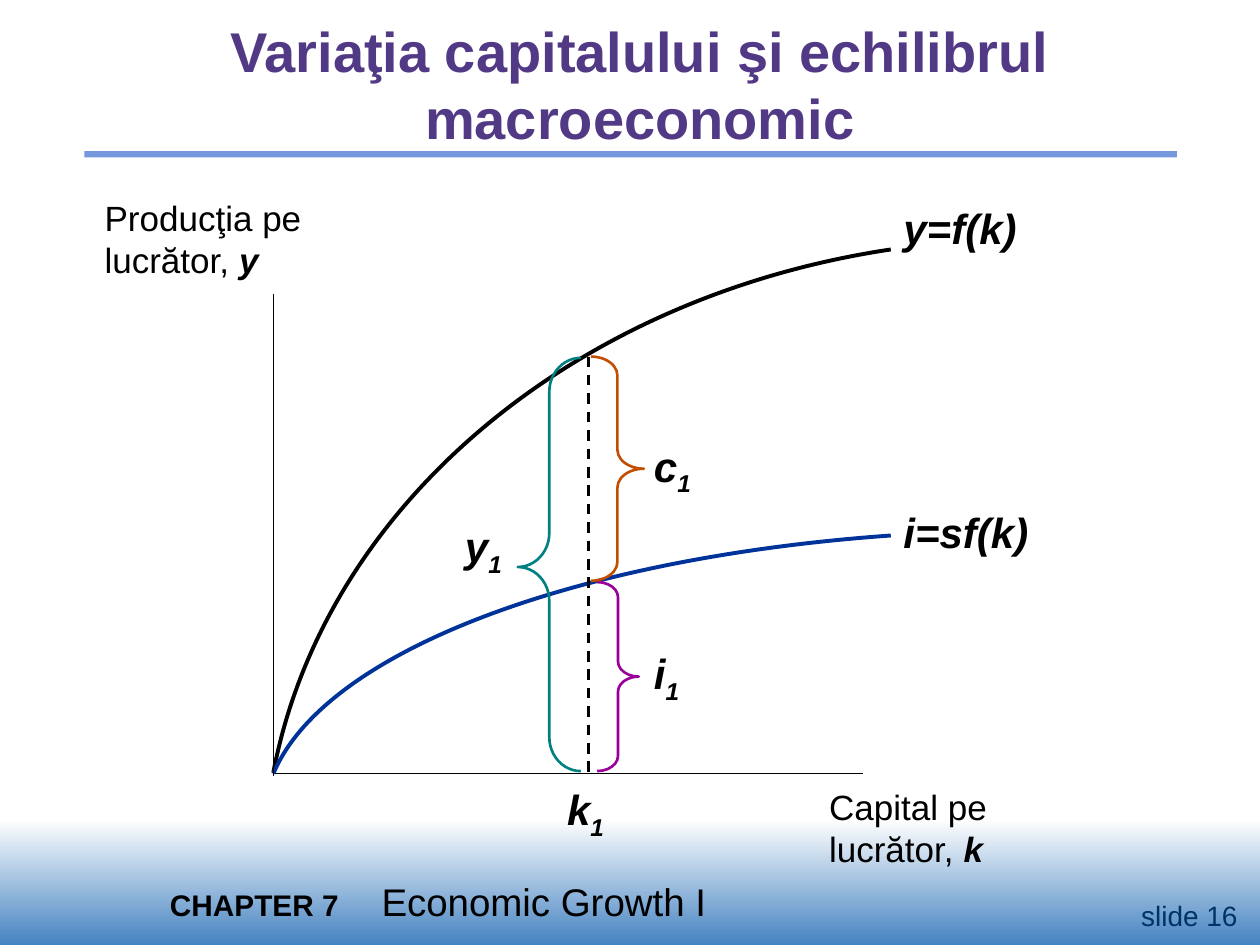
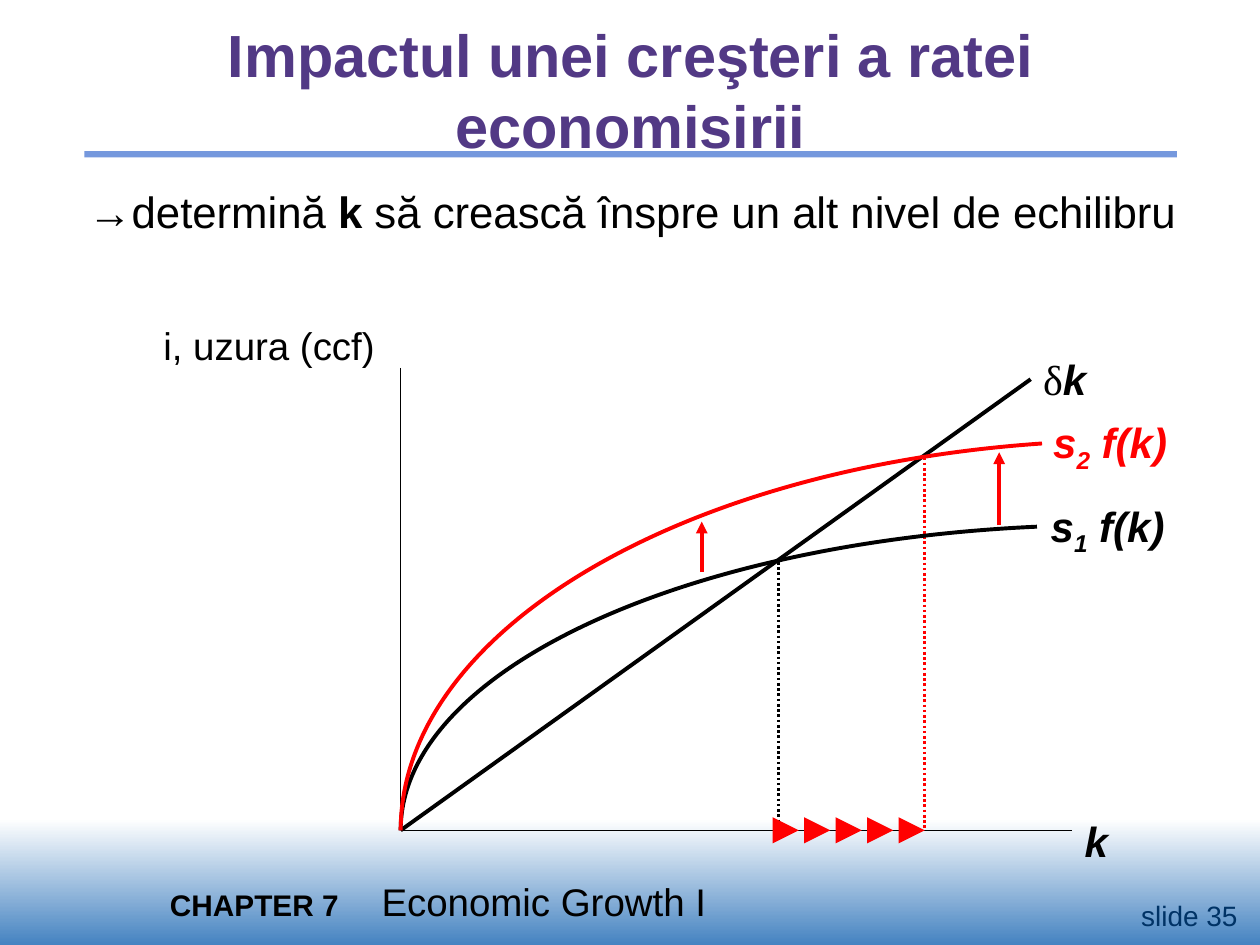
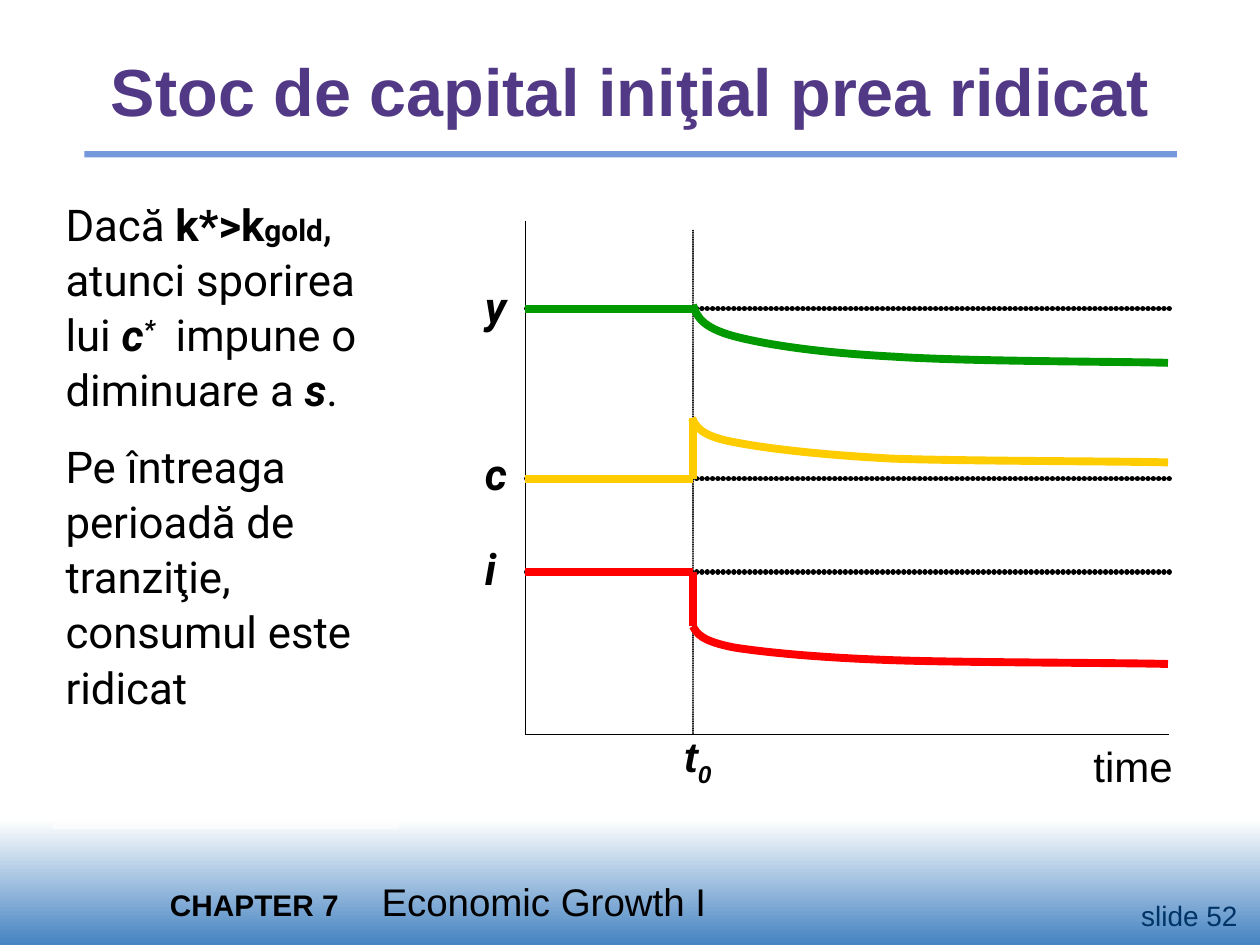
from lxml import etree
from pptx import Presentation
from pptx.dml.color import RGBColor
from pptx.enum import dml, shapes, text
from pptx.oxml.ns import qn
from pptx.util import Inches, Pt

COLORS = {
    "black": "000000", "white": "FFFFFF", "title": "523985", "rule": "7598DD",
    "band": "4583C1", "number": "003366", "blue": "003399", "teal": "008080",
    "purple": "990099", "orange": "C24F00", "red": "FF0000",
    "yellow": "FFCC00", "green": "009900",
}
DASH, DOT = dml.MSO_LINE.DASH, dml.MSO_LINE.ROUND_DOT
BEADS = "beads"  # round dots, one line width apart
LEFT, RIGHT = shapes.MSO_SHAPE.LEFT_BRACE, shapes.MSO_SHAPE.RIGHT_BRACE
TOP, MIDDLE = text.MSO_ANCHOR.TOP, text.MSO_ANCHOR.MIDDLE
FIXED, GROW = text.MSO_AUTO_SIZE.NONE, text.MSO_AUTO_SIZE.SHAPE_TO_FIT_TEXT
ALIGN = text.PP_ALIGN
PAD, NO_PAD = (0.1, 0.05, 0.1, 0.05), (0, 0, 0, 0)

# Run styles
PLAIN = {}
BOLD = {"bold": True}
VAR = {"bold": True, "italic": True}
SUB = {**VAR, "base": -25}
SUPER = {**VAR, "base": 30, "spacing": 5.7}
TIMES = {"font": "Times New Roman"}

TITLE_BOX = (0.42, 0.25, 9.17, 0.92)

# Slide 1: production and investment curves
PRODUCTION_LABELS = [
    ((0.83, 1.56, 1.75, 0.67), 20, [("Producţia pe lucrător, ", PLAIN), ("y", VAR)]),
    ((6.58, 6.23, 1.75, 0.67), 20, [("Capital pe lucrător, ", PLAIN), ("k", VAR)]),
    ((7.17, 1.61, 1.08, 0.4), 24, [("y=f(k)", VAR)]),
    ((7.17, 4.02, 1.08, 0.4), 24, [("i=sf(k)", VAR)]),
    ((4.5, 6.22, 0.58, 0.46), 24, [("k", VAR), ("1", SUB)]),
    ((3.69, 4.13, 0.58, 0.46), 24, [("y", VAR), ("1", SUB)]),
    ((5.19, 5.14, 0.58, 0.46), 24, [("i", VAR), ("1", SUB)]),
    ((5.19, 3.49, 0.58, 0.46), 24, [("c", VAR), ("1", SUB)]),
]
PRODUCTION_LINES = [
    (2.17, 2.33, 2.17, 6.16, "black", 1),
    (2.18, 6.14, 6.85, 6.14, "black", 1),
    (4.67, 2.83, 4.67, 6.17, "black", 1.5, DASH),
]
PRODUCTION_CURVES = [
    ([(7.07, 1.98), (4.53, 2.36), (2.57, 4.03), (2.17, 6.13)], "black", 2.25),
    ([(7.07, 4.25), (4.53, 4.43), (2.57, 5.18), (2.17, 6.14)], "blue", 2.25),
]
BRACES = [  # kind, box, corner height, height of the tip, colour
    (LEFT, (4.11, 2.84, 0.5, 3.28), 0.27, 1.66, "teal"),
    (RIGHT, (4.74, 4.62, 0.33, 1.5), 0.12, 0.75, "purple"),
    (RIGHT, (4.69, 2.83, 0.42, 1.78), 0.15, 0.89, "orange"),
]

# Slide 2: a higher saving rate
SAVING_LABELS = [
    ((8.51, 6.42, 0.5, 0.5), 24, "black", [("k", VAR)]),
    ((8.18, 2.76, 0.72, 0.5), 24, "black", [("δ", TIMES), ("k", VAR)]),
    ((8.24, 3.92, 1.18, 0.56), 24, "black", [("s", VAR), ("1", SUB), (" f(k)", VAR)]),
    ((8.26, 3.26, 1.42, 0.56), 24, "red", [("s", VAR), ("2", SUB), (" f(k)", VAR)]),
    ((0.6, 1.42, 9.29, 0.52), 25, "black", [
        ("→", TIMES), ("determină ", PLAIN), ("k", BOLD),
        (" să crească înspre un alt nivel de echilibru", PLAIN)]),
]
SAVING_LINES = [
    (3.18, 2.92, 3.18, 6.59, "black", 0.75),
    (3.18, 6.59, 8.51, 6.59, "black", 0.75),
    (3.18, 6.59, 8.18, 3.01, "black", 2.25),
    (6.18, 4.46, 6.18, 6.59, "black", 1.5, DOT),
    (7.34, 3.63, 7.34, 6.59, "red", 1.5, DOT),
    (7.93, 4.17, 7.93, 3.59, "red", 2.25, None, "med"),
    (5.57, 4.54, 5.57, 4.14, "red", 2.25, None, "med"),
]
SAVING_CURVES = [
    ([(8.23, 4.18), (5.36, 4.31), (3.18, 5.35), (3.18, 6.59)], "black", 2.25),
    ([(8.27, 3.52), (5.36, 3.72), (3.18, 5.03), (3.18, 6.59)], "red", 2.25),
]
GROWTH_ARROWS = {"count": 5, "left": 6.26, "step": 0.25, "length": 0.08, "y": 6.59}

# Slide 3: paths of output, consumption and investment over time
GOLD_TEXT = [
    [("Dacă ", PLAIN), ("k*>k", BOLD), ("gold", {**BOLD, "size": 17}),
     (", atunci sporirea lui ", PLAIN), ("c", VAR), ("*", SUPER),
     (" impune o diminuare a ", PLAIN), ("s", VAR), (".", PLAIN)],
    [("Pe întreaga perioadă de tranziţie, consumul este ridicat", PLAIN)],
]
TIME_AXES = [
    (4.17, 1.75, 4.17, 5.83, "black", 0.75),
    (4.17, 5.83, 9.28, 5.83, "black", 0.75),
    (5.5, 1.83, 5.5, 5.83, "black", 1, BEADS),
]
SERIES = [  # name, label top, level before t0, colour, path after t0
    ("y", 2.17, 2.45, "green",
     [(5.5, 2.42), (5.53, 2.51), (5.57, 2.6), (5.83, 2.67), (6.1, 2.74),
      (6.51, 2.8), (7.08, 2.83), (7.66, 2.87), (8.91, 2.87), (9.27, 2.88)]),
    ("c", 3.5, 3.8, "yellow",
     [(5.49, 3.32), (5.53, 3.39), (5.56, 3.46), (5.83, 3.51), (6.09, 3.56),
      (6.51, 3.61), (7.08, 3.64), (7.65, 3.66), (8.9, 3.66), (9.27, 3.67)]),
    ("i", 4.25, 4.54, "red",
     [(5.5, 4.97), (5.53, 5.03), (5.57, 5.09), (5.83, 5.14), (6.09, 5.18),
      (6.51, 5.22), (7.08, 5.24), (7.65, 5.26), (8.9, 5.26), (9.27, 5.27)]),
]


def rgb(name):
    return RGBColor.from_string(COLORS[name])


def inches(values):
    return [Inches(v) for v in values]


def place(sp, box):
    sp.left, sp.top, sp.width, sp.height = inches(box)


def add_runs(p, runs, size, color="black", font="Arial"):
    for words, style in runs:
        r = p.add_run()
        r.text = words
        f = r.font
        f.name = style.get("font", font)
        f.size = Pt(style.get("size", size))
        f.bold = style.get("bold", False)
        f.italic = style.get("italic", False)
        f.color.rgb = rgb(color)
        rPr = r._r.get_or_add_rPr()
        if "base" in style:
            rPr.set("baseline", str(style["base"] * 1000))
        if "spacing" in style:
            rPr.set("spc", str(round(style["spacing"] * 100)))


def set_frame(tf, pad, anchor=TOP, fit=FIXED):
    tf.word_wrap = True
    tf.auto_size = fit
    tf.vertical_anchor = anchor
    tf.margin_left, tf.margin_top, tf.margin_right, tf.margin_bottom = inches(pad)


def add_label(s, box, size, runs, color="black", font="Arial", pad=PAD,
              anchor=TOP, align=ALIGN.LEFT, before=None):
    """Add a text box; space before follows the text size unless given."""
    tf = s.shapes.add_textbox(*inches(box)).text_frame
    set_frame(tf, pad, anchor, GROW)
    p = tf.paragraphs[0]
    p.alignment = align
    p.space_before = Pt(round(size * 0.625, 1) if before is None else before)
    add_runs(p, runs, size, color, font)
    return p


def add_line(s, x1, y1, x2, y2, color, width, dash=None, head=None):
    c = s.shapes.add_connector(shapes.MSO_CONNECTOR.STRAIGHT, *inches((x1, y1, x2, y2)))
    c.line.color.rgb = rgb(color)
    c.line.width = Pt(width)
    ln = c.line._get_or_add_ln()
    if dash == BEADS:
        ln.set("cap", "rnd")
        beads = etree.SubElement(ln, qn("a:custDash"))
        etree.SubElement(beads, qn("a:ds"), d="1000", sp="100000")
    elif dash:
        c.line.dash_style = dash
    if head:
        etree.SubElement(ln, qn("a:tailEnd"), type="triangle", w=head, len=head)
    etree.SubElement(c.element.spPr, qn("a:effectLst"))


def outline(sp, color, width):
    sp.shadow.inherit = False
    sp.fill.background()
    sp.line.color.rgb = rgb(color)
    sp.line.width = Pt(width)


def add_curve(s, points, color, width):
    """Draw joined cubic curves; each takes two control points and an end."""
    builder = s.shapes.build_freeform(*inches(points[0]))
    builder.add_line_segments([inches(q) for q in points[1:]], close=False)
    sp = builder.convert_to_shape()
    segments = list(sp.element.iter(qn("a:lnTo")))
    outlined = segments[0].getparent()
    for i in range(0, len(segments), 3):
        cubic = etree.SubElement(outlined, qn("a:cubicBezTo"))
        for segment in segments[i:i + 3]:
            cubic.append(segment[0])
            outlined.remove(segment)
    outline(sp, color, width)


def add_brace(s, kind, box, corner, tip, color):
    sp = s.shapes.add_shape(kind, *inches(box))
    sp.adjustments[0] = corner / box[2]
    sp.adjustments[1] = tip / box[3]
    outline(sp, color, 1.5)


def add_bar(s, box):
    sp = s.shapes.add_shape(shapes.MSO_SHAPE.RECTANGLE, *inches(box))
    sp.shadow.inherit = False
    sp.line.fill.background()
    return sp


def new_slide(prs, layout, title, size, number, title_box=TITLE_BOX):
    s = prs.slides.add_slide(prs.slide_layouts[layout])
    band = add_bar(s, (0, 6.5, 10, 1))
    band.fill.gradient()
    band.fill.gradient_angle = 270
    for stop, color in zip(band.fill.gradient_stops, ("white", "band")):
        stop.color.rgb = rgb(color)
    rule = add_bar(s, (0.67, 1.2, 8.67, 0.05))
    rule.fill.solid()
    rule.fill.fore_color.rgb = rgb("rule")

    p = add_label(s, (1.25, 6.92, 8.33, 0.47), 22,
                  [("CHAPTER 7", {**BOLD, "size": 17}), ("\tEconomic Growth I", PLAIN)])
    tabs = etree.SubElement(p._p.get_or_add_pPr(), qn("a:tabLst"))
    etree.SubElement(tabs, qn("a:tab"), pos=str(Inches(1.68)), algn="l")
    add_label(s, (8.92, 7.08, 1, 0.37), 16, [(f"slide {number}", PLAIN)],
              "number", align=ALIGN.RIGHT, before=0)

    # Placeholders go in front of the band
    for ph in list(s.placeholders):
        ph.element.getparent().append(ph.element)
    place(s.shapes.title, title_box)
    tf = s.shapes.title.text_frame
    set_frame(tf, NO_PAD, MIDDLE)
    tf.paragraphs[0].alignment = ALIGN.CENTER
    add_runs(tf.paragraphs[0], [(title, BOLD)], size, "title")
    return s


def production_slide(prs):
    s = new_slide(prs, 5, "Variaţia capitalului şi echilibrul macroeconomic", 32, 16,
                  (0.58, 0.33, 9, 0.67))
    for curve in PRODUCTION_CURVES:
        add_curve(s, *curve)
    for line in PRODUCTION_LINES:
        add_line(s, *line)
    for brace in BRACES:
        add_brace(s, *brace)
    for box, size, runs in PRODUCTION_LABELS:
        add_label(s, box, size, runs, pad=NO_PAD, anchor=MIDDLE)


def saving_slide(prs):
    s = new_slide(prs, 5, "Impactul unei creşteri a ratei economisirii", 34, 35)
    add_label(s, (1.09, 2.51, 2.09, 0.47), 22, [("i, uzura (ccf)", PLAIN)],
              pad=(0.05,) * 4, align=ALIGN.CENTER)
    for line in SAVING_LINES:
        add_line(s, *line)
    for curve in SAVING_CURVES:
        add_curve(s, *curve)
    for box, size, color, runs in SAVING_LABELS:
        add_label(s, box, size, runs, color)
    g = GROWTH_ARROWS
    for n in range(g["count"]):
        x = g["left"] + n * g["step"]
        add_line(s, x, g["y"], x + g["length"], g["y"], "red", 3, None, "lg")


def add_gold_text(body):
    place(body, (0.42, 1.5, 2.75, 5.08))
    body.fill.solid()
    body.fill.fore_color.rgb = rgb("white")
    fill_color = next(body.element.spPr.iter(qn("a:srgbClr")))
    etree.SubElement(fill_color, qn("a:alpha"), val="50000")
    tf = body.text_frame
    set_frame(tf, PAD)
    for n, runs in enumerate(GOLD_TEXT):
        p = tf.add_paragraph() if n else tf.paragraphs[0]
        p.line_spacing = 1.05
        p.space_before = Pt(12.5)
        pPr = p._p.get_or_add_pPr()
        pPr.set("marL", "0")
        pPr.set("indent", "0")
        etree.SubElement(pPr, qn("a:buNone"))
        add_runs(p, runs, 25, font="Roboto")


def time_slide(prs):
    s = new_slide(prs, 1, "Stoc de capital iniţial prea ridicat", 38, 52)
    add_gold_text(s.placeholders[1])
    for line in TIME_AXES:
        add_line(s, *line)
    add_label(s, (8.58, 5.83, 0.92, 0.5), 24, [("time", PLAIN)])
    add_label(s, (5.33, 5.75, 0.5, 0.56), 24, [("t", VAR), ("0", SUB)])
    for name, top, level, color, path_after in SERIES:
        add_label(s, (3.75, top, 0.5, 0.52), 25, [(name, VAR)], font="Roboto")
        add_line(s, 4.18, level, 9.3, level, "black", 3, BEADS)
        add_line(s, 4.17, level, 5.5, level, color, 4.5)
        if name != "y":
            add_line(s, 5.5, level, 5.5, path_after[0][1], color, 4.5)
        add_curve(s, path_after, color, 4.5)


def main():
    prs = Presentation()
    prs.slide_width, prs.slide_height = Inches(10), Inches(7.5)
    production_slide(prs)
    saving_slide(prs)
    time_slide(prs)
    prs.save("out.pptx")


if __name__ == "__main__":
    main()
